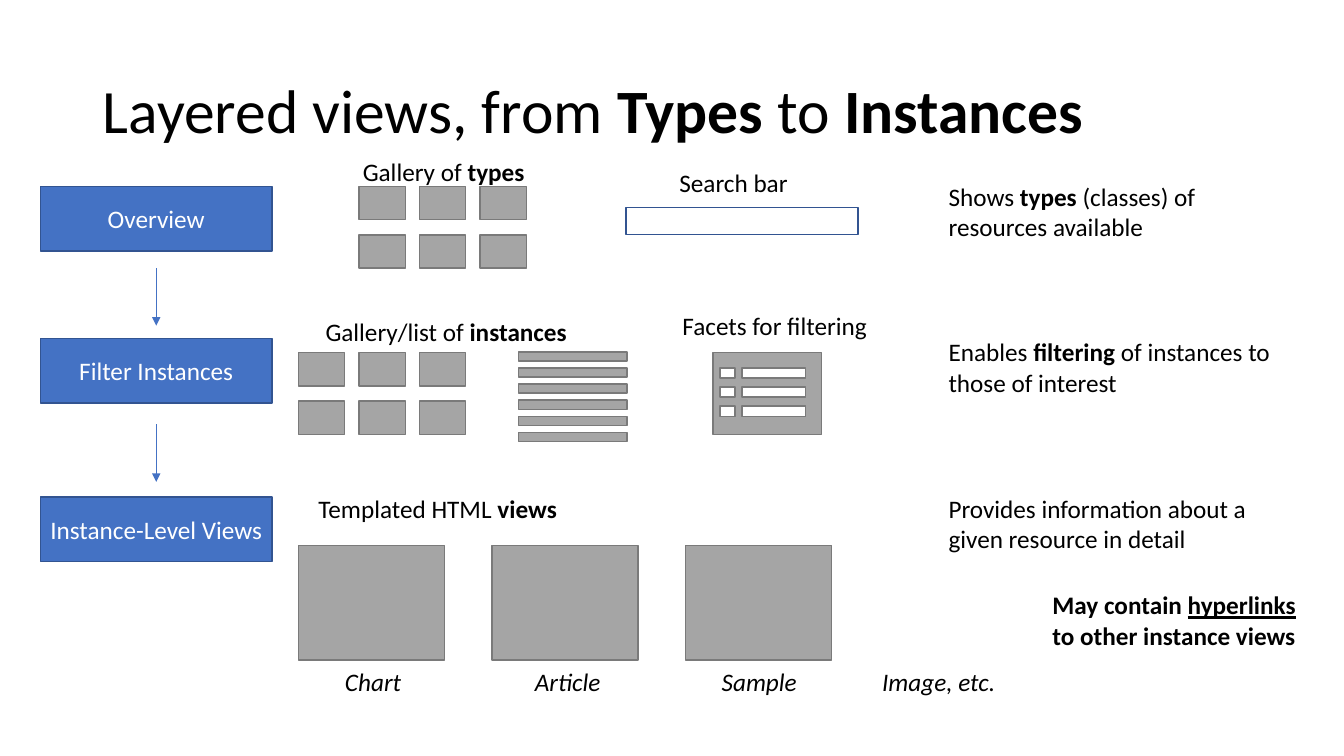
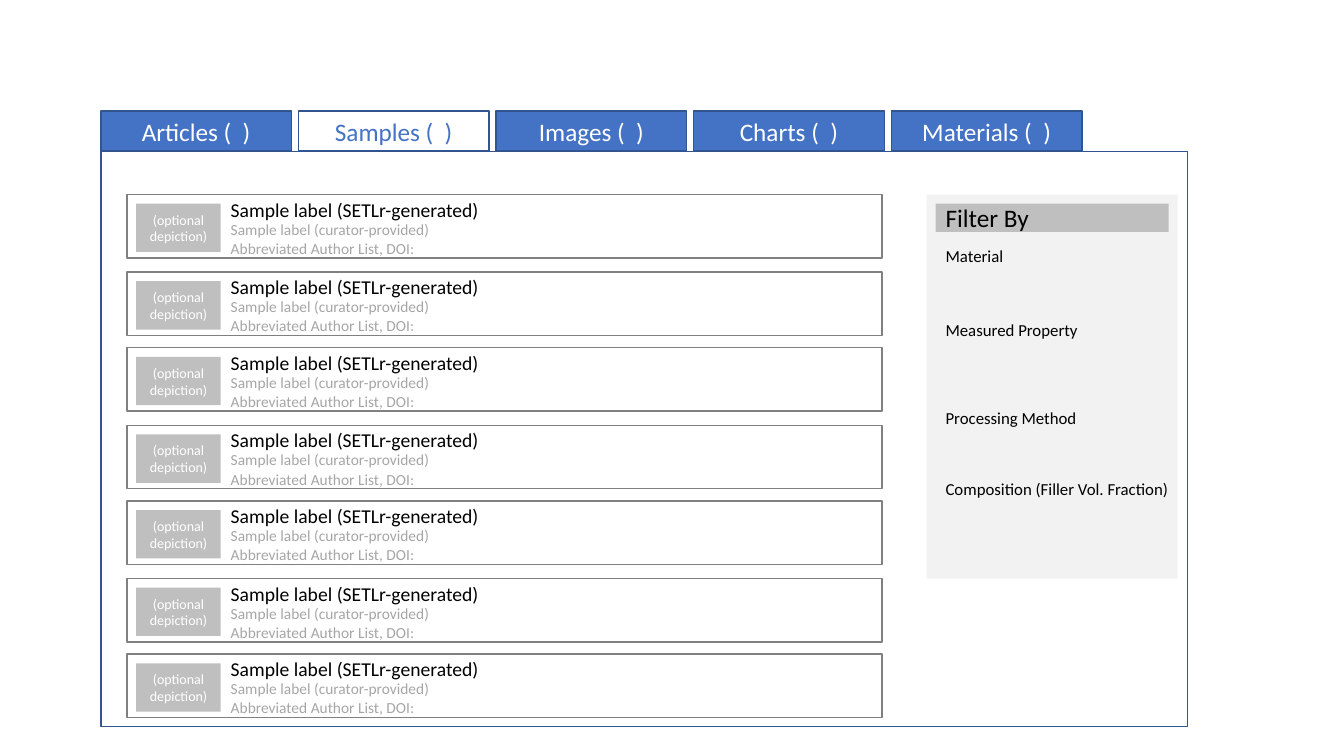
from itertools import product

from lxml.etree import SubElement
from pptx import Presentation
from pptx.dml.color import RGBColor
from pptx.enum.shapes import MSO_CONNECTOR as Conn, MSO_SHAPE as Shape
from pptx.enum.text import MSO_ANCHOR as Anchor, PP_ALIGN as Align
from pptx.oxml.ns import qn
from pptx.util import Inches, Pt

FONT = "Calibri"
COLORS = {
    "blue": "4472C4", "navy": "325491", "white": "FFFFFF", "black": "000000",
    "gray": "A5A5A5", "edge": "7A7A7A", "frame": "808080",
    "silver": "BFBFBF", "pale": "F2F2F2", "muted": "A6A6A6",
}

# Text between asterisks is emphasised.
TITLE = "Layered views, from *Types* to *Instances*"
STEPS = [("Overview", 1.85), ("Filter Instances", 3.36), ("Instance-Level Views", 4.93)]
ARROWS = [2.66, 4.21]
NOTES = [
    ("Shows *types* (classes) of resources available", 1.75),
    ("Enables *filtering* of instances to those of interest", 3.29),
    ("Provides information about a given resource in detail", 4.84),
]
LINK_NOTE = "May contain *hyperlinks* to other instance views"
HEADS = [
    ("Gallery of *types*", 3.5, 1.5, 1.87),
    ("Search bar", 6.64, 1.61, 1.87),
    ("Gallery/list of *instances*", 3.13, 3.09, 2.62),
    ("Facets for filtering", 6.67, 3.03, 2.3),
    ("Templated HTML *views*", 3.06, 4.84, 2.88),
]
VIEWS = [("Chart", 2.99), ("Article", 4.92), ("Sample", 6.82), ("Image, etc.", 8.6)]

TABS = ["Articles (  )", "Samples (  )", "Images (  )", "Charts (  )", "Materials (  )"]
ACTIVE = "Samples (  )"
FILTERS = [
    ("Material", 2.39), ("Measured Property", 3.12),
    ("Processing Method", 4), ("Composition (Filler Vol. Fraction)", 4.7),
]
ROWS = 7
ROW_TEXT = [  # text, offset from row top, height, size, colour
    ("Sample label (SETLr-generated)", -0.02, 0.34, 14, "black"),
    ("Sample label (curator-provided)", 0.2, 0.29, 11, "muted"),
    ("Abbreviated Author List, DOI:", 0.39, 0.29, 11, "muted"),
]
DEPICTION = "(optional depiction)"


def rgb(name):
    return RGBColor.from_string(COLORS[name])


def write(frame, text, size=18, color="black", align=Align.LEFT, mark="bold", **style):
    """Fill a frame with one paragraph, setting mark on the emphasised parts."""
    frame.word_wrap = True
    para = frame.paragraphs[0]
    para.alignment = align
    font = para.font
    font.name, font.size, font.color.rgb = FONT, Pt(size), rgb(color)
    for key, value in style.items():
        setattr(font, key, value)
    for i, part in enumerate(text.split("*")):
        if part:
            run = para.add_run()
            run.text = part
            if i % 2:
                setattr(run.font, mark, True)
    return para


def label(shapes, text, x, y, w, h=0.4, **style):
    box = shapes.add_textbox(Inches(x), Inches(y), Inches(w), Inches(h))
    write(box.text_frame, text, **style)


def rect(shapes, x, y, w, h, fill=None, line=None, text=None, **style):
    box = shapes.add_shape(Shape.RECTANGLE, Inches(x), Inches(y), Inches(w), Inches(h))
    box.shadow.inherit = False
    if fill:
        box.fill.solid()
        box.fill.fore_color.rgb = rgb(fill)
    else:
        box.fill.background()
    if line:
        box.line.color.rgb = rgb(line)
        box.line.width = Pt(1)
    else:
        box.line.fill.background()
    if text:
        box.text_frame.vertical_anchor = Anchor.MIDDLE
        write(box.text_frame, text, **style)


def grid(shapes, x, y, cols, rows, w, h, dx=0, dy=0, fill="gray"):
    """Draw equal boxes dx and dy apart, measured from corner to corner."""
    for row, col in product(range(rows), range(cols)):
        rect(shapes, x + col * dx, y + row * dy, w, h, fill, "edge")


def arrow(shapes, x, y, length):
    line = shapes.add_connector(
        Conn.STRAIGHT, Inches(x), Inches(y), Inches(x), Inches(y + length))
    line.line.color.rgb = rgb("blue")
    line.line.width = Pt(0.5)
    SubElement(line.line._get_or_add_ln(), qn("a:tailEnd"), type="triangle")
    SubElement(line._element.spPr, qn("a:effectLst"))


def layers(deck):
    shapes = deck.slides.add_slide(deck.slide_layouts[5]).shapes
    title = shapes.title
    title.left, title.top = Inches(0.92), Inches(0.4)
    title.width, title.height = Inches(11.5), Inches(1.45)
    title.text_frame.vertical_anchor = Anchor.MIDDLE
    write(title.text_frame, TITLE, size=44).line_spacing = 0.9

    for text, y in STEPS:
        rect(shapes, 0.4, y, 2.3, 0.64, "blue", "navy", text,
             color="white", align=Align.CENTER)
    for y in ARROWS:
        arrow(shapes, 1.55, y, 0.57)
    for text, y in NOTES:
        label(shapes, text, 9.31, y, 3.63, 0.71)
    label(shapes, LINK_NOTE, 10.34, 5.8, 2.66, 0.71, mark="underline", bold=True)
    for text, x, y, w in HEADS:
        label(shapes, text, x, y, w)

    for x, y in [(3.56, 1.85), (2.96, 3.5)]:
        grid(shapes, x, y, 3, 2, 0.46, 0.33, 0.6, 0.48)
    rect(shapes, 6.21, 2.06, 2.3, 0.27, "white", "navy")
    grid(shapes, 5.14, 3.49, 1, 6, 1.08, 0.09, dy=0.16)
    rect(shapes, 7.07, 3.5, 1.08, 0.81, "gray", "edge")
    for x, w in [(7.14, 0.15), (7.36, 0.63)]:
        grid(shapes, x, 3.65, 1, 3, w, 0.1, dy=0.19, fill="white")
    grid(shapes, 2.96, 5.41, 3, 1, 1.45, 1.14, dx=1.92)
    for text, x in VIEWS:
        label(shapes, text, x, 6.56, 1.42, align=Align.CENTER, italic=True)


def result(shapes, y):
    """Draw one search result with its depiction and three lines of text."""
    group = shapes.add_group_shape().shapes
    rect(group, 1.26, y, 7.49, 0.63, line="frame")
    rect(group, 1.35, y + 0.09, 0.84, 0.48, "silver", text=DEPICTION,
         size=10, color="white", align=Align.CENTER)
    for text, dy, h, size, color in ROW_TEXT:
        label(group, text, 2.19, y + dy, 5.81, h, size=size, color=color)


def browser(deck):
    shapes = deck.slides.add_slide(deck.slide_layouts[6]).shapes
    rect(shapes, 1, 1.5, 10.78, 5.71, "white", "navy")
    for i, text in enumerate(TABS):
        fill, ink = ("white", "blue") if text == ACTIVE else ("blue", "white")
        rect(shapes, 1 + i * 1.96, 1.1, 1.89, 0.4, fill, "navy", text,
             color=ink, align=Align.CENTER)

    rect(shapes, 9.19, 1.93, 2.49, 3.81, "pale")
    rect(shapes, 9.28, 2.02, 2.31, 0.28, "silver", text="Filter By")
    for text, y in FILTERS:
        label(shapes, text, 9.28, y, 2.49, 0.3, size=12)
    for i in range(ROWS):
        pair, odd = divmod(i, 2)
        result(shapes, 1.93 + pair * 1.52 + odd * 0.77)


def main():
    deck = Presentation()
    deck.slide_width, deck.slide_height = Inches(13.33), Inches(7.5)
    layers(deck)
    browser(deck)
    deck.save("out.pptx")


if __name__ == "__main__":
    main()
